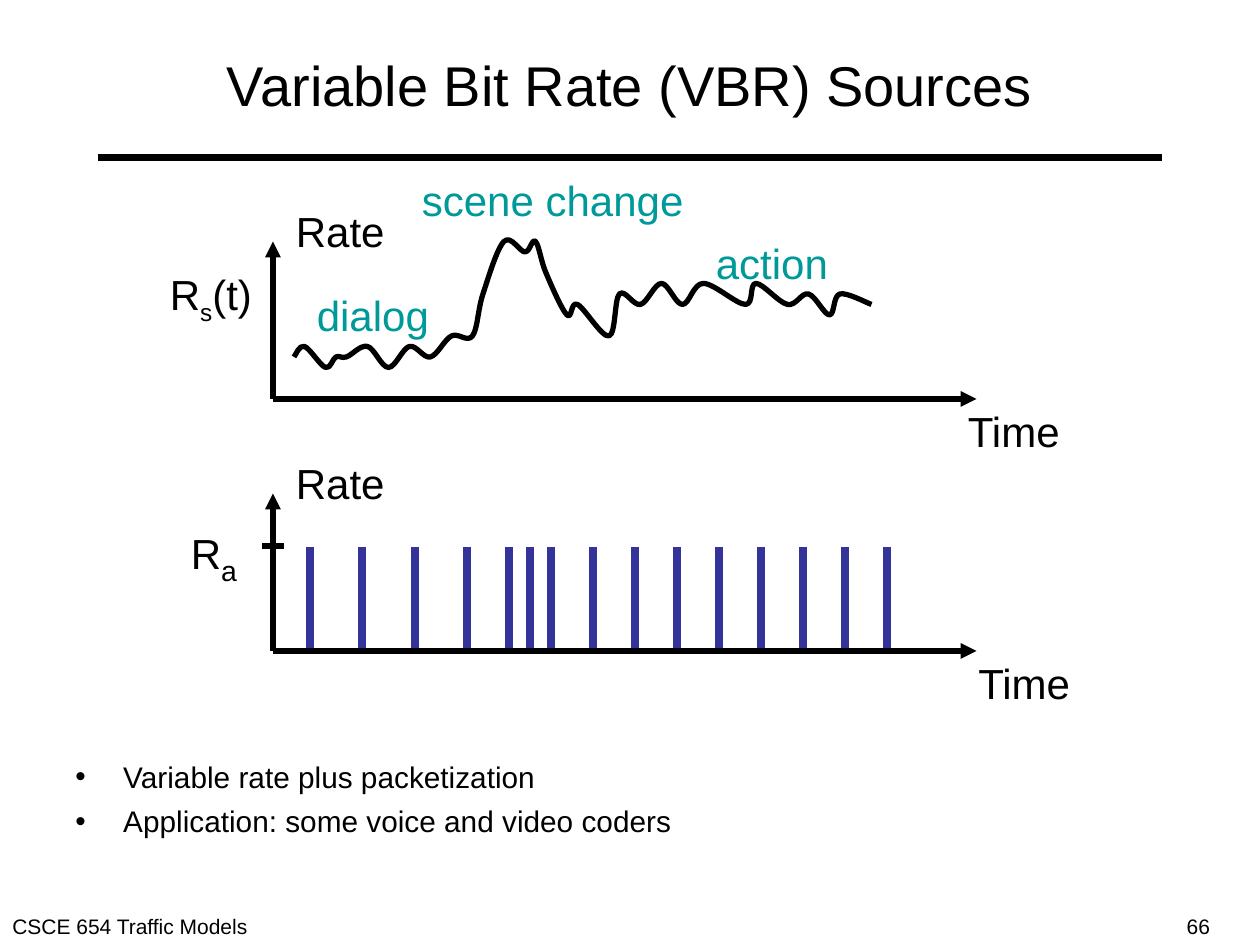
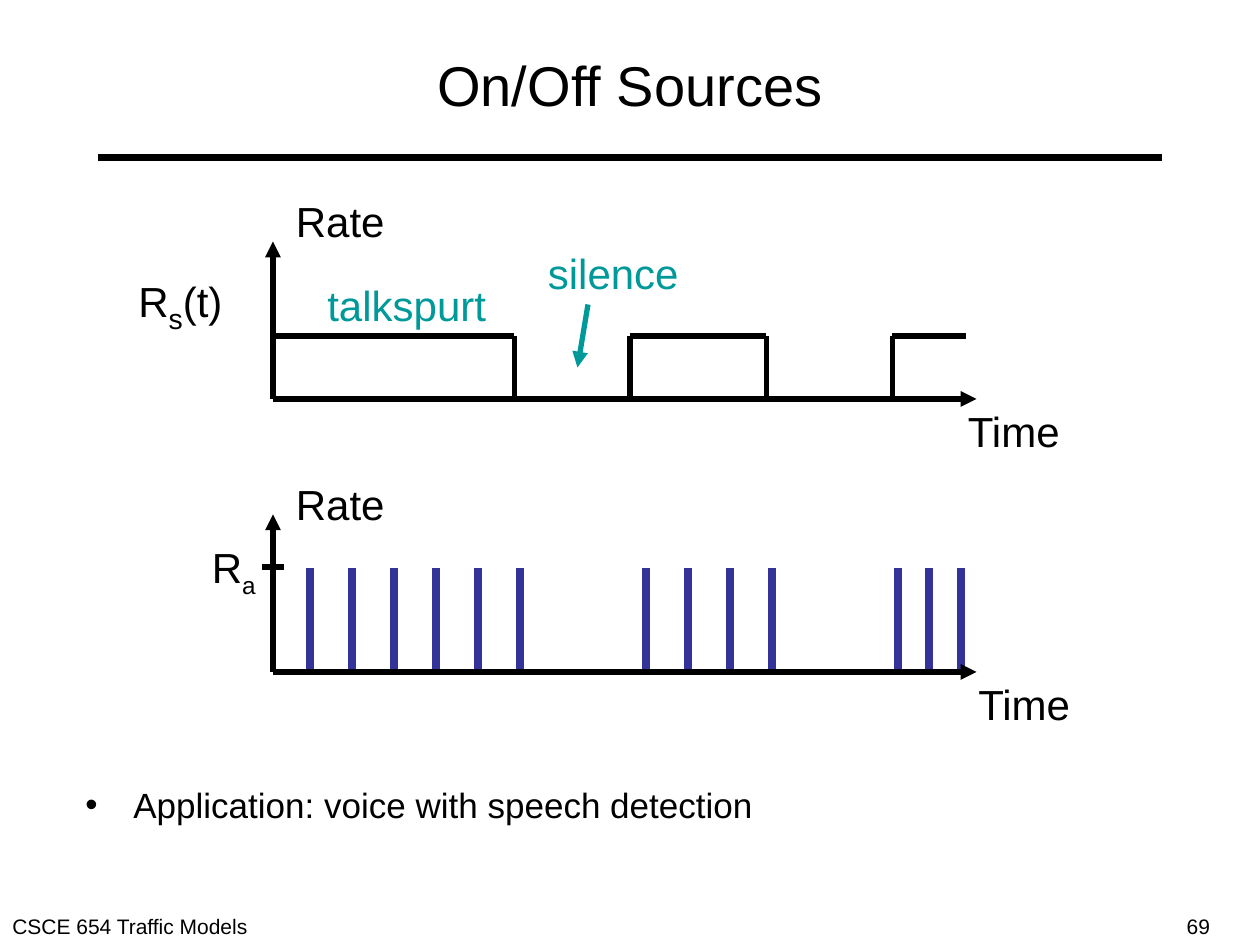
from dataclasses import dataclass

from lxml import etree
from pptx import Presentation
from pptx import util as u
from pptx.dml.color import RGBColor
from pptx.enum import shapes as kinds, text
from pptx.oxml.ns import qn


@dataclass(frozen=True)
class Theme:
    font: str = "Arial"
    ink: str = "000000"
    accent: str = "009999"
    packet: str = "333399"
    paper: str = "FFFFFF"
    title: int = 32
    label: int = 24
    footer: int = 12
    rule: float = 4.5
    stroke: float = 3
    outline: float = 1.5


THEME = Theme()
AXIS_WIDTH, AXIS_HEIGHT = 67, 15
PACKET_HEIGHT, TALK_HEIGHT = 10, 6
ORIGIN_LEFT = 26 / 12
SIGNAL = [(2, 4), (3, 5), (5, 3), (6, 4), (7, 4), (9, 5), (11, 3), (13, 5),
          (15, 4), (17, 6), (19, 6), (20, 10), (22, 15), (24, 14), (25, 15),
          (26, 12), (28, 8), (29, 9), (32, 6), (33, 10), (35, 9), (37, 11),
          (39, 9), (41, 11), (45, 9), (46, 11), (49, 9), (51, 10), (53, 8),
          (54, 10), (57, 9)]


def add_run(paragraph, words, size, color=THEME.ink, baseline=None):
    run = paragraph.add_run()
    run.text = words
    look = {"name": THEME.font, "size": u.Pt(size)}
    for key, value in look.items():
        setattr(run.font, key, value)
    run.font.color.rgb = RGBColor.from_string(color)
    if baseline:
        run._r.get_or_add_rPr().set("baseline", str(baseline))


def add_box(shapes, left, top, width, height, anchor=text.MSO_ANCHOR.TOP):
    frame = shapes.add_textbox(*map(u.Inches, (left, top, width, height))).text_frame
    settings = {"word_wrap": True, "vertical_anchor": anchor,
                "margin_left": u.Inches(0.1), "margin_right": u.Inches(0.1),
                "margin_top": u.Inches(0.05), "margin_bottom": u.Inches(0.05)}
    for key, value in settings.items():
        setattr(frame, key, value)
    return frame


def add_line(shapes, start, end, color=THEME.ink, weight=THEME.stroke, arrow=False):
    line = shapes.add_connector(kinds.MSO_CONNECTOR.STRAIGHT,
                                *map(u.Inches, (*start, *end)))
    line.line.color.rgb = RGBColor.from_string(color)
    line.line.width = u.Pt(weight)
    properties = line._element.spPr
    if arrow:
        etree.SubElement(properties.find(qn("a:ln")), qn("a:tailEnd"), type="triangle")
    etree.SubElement(properties, qn("a:effectLst"))


def smooth(path):
    """Turn the straight segments of a path into curves through the same points."""
    knots = [(int(pt.get("x")), int(pt.get("y"))) for pt in path.iter(qn("a:pt"))]
    padded = [knots[0], *knots, knots[-1]]
    for before, start, end, after, segment in zip(
            padded, padded[1:], padded[2:], padded[3:], path.findall(qn("a:lnTo"))):
        leave = [s + (e - b) / 6 for b, s, e in zip(before, start, end)]
        arrive = [e - (a - s) / 6 for s, e, a in zip(start, end, after)]
        curve = etree.Element(qn("a:cubicBezTo"))
        for x, y in (leave, arrive, end):
            etree.SubElement(curve, qn("a:pt"), x=str(round(x)), y=str(round(y)))
        path.replace(segment, curve)


class RatePlot:
    """Rate against time; x and height count twelfths of an inch from the origin."""

    def __init__(self, slide, baseline):
        self.shapes = slide.shapes.add_group_shape().shapes
        self.baseline = baseline

    def at(self, x, height):
        return ORIGIN_LEFT + x / 12, self.baseline - height / 12

    def line(self, start, end, **look):
        add_line(self.shapes, self.at(*start), self.at(*end), **look)

    def label(self, words, x, height, width=1.1, color=THEME.ink):
        frame = add_box(self.shapes, *self.at(x, height), width, 0.5)
        add_run(frame.paragraphs[0], words, THEME.label, color)

    def rate_symbol(self, x, subscript, suffix="", subscript_size=THEME.label):
        paragraph = add_box(self.shapes, *self.at(x, 13), 1.1, 0.6).paragraphs[0]
        add_run(paragraph, "R", THEME.label)
        add_run(paragraph, subscript, subscript_size, baseline=-25000)
        if suffix:
            add_run(paragraph, suffix, THEME.label)

    def axes(self, rate_height=19, time_x=66):
        self.line((0, 0), (0, AXIS_HEIGHT), arrow=True)
        self.line((0, 0), (AXIS_WIDTH, 0), arrow=True)
        self.label("Rate", 1, rate_height)
        self.label("Time", time_x, 0)

    def packets(self, starts):
        """Draw one bar per packet, then mark their common rate on the axis."""
        for x in starts:
            left, top = self.at(x, PACKET_HEIGHT)
            bar = self.shapes.add_shape(
                kinds.MSO_SHAPE.RECTANGLE,
                *map(u.Inches, (left, top, 1 / 12, PACKET_HEIGHT / 12)))
            bar.shadow.inherit = False
            bar.fill.solid()
            bar.fill.fore_color.rgb = RGBColor.from_string(THEME.packet)
            bar.line.color.rgb = RGBColor.from_string(THEME.paper)
            bar.line.width = u.Pt(THEME.outline)
        self.line((-1, PACKET_HEIGHT), (1, PACKET_HEIGHT))

    def signal(self, knots):
        start, *rest = [tuple(map(u.Inches, self.at(*knot))) for knot in knots]
        builder = self.shapes.build_freeform(*start)
        builder.add_line_segments(rest, close=False)
        curve = builder.convert_to_shape()
        curve.shadow.inherit = False
        curve.fill.background()
        curve.line.color.rgb = RGBColor.from_string(THEME.ink)
        curve.line.width = u.Pt(THEME.stroke)
        smooth(next(curve._element.iter(qn("a:path"))))

    def talkspurts(self, spans, window):
        """Outline each span, leaving out the edges that lie on the window's ends."""
        for start, end in spans:
            self.line((start, TALK_HEIGHT), (end, TALK_HEIGHT))
            for edge in (start, end):
                if edge not in window:
                    self.line((edge, TALK_HEIGHT), (edge, 0))


def add_bullets(slide, left, top, width, height, size, items):
    frame = add_box(slide.shapes, left, top, width, height)
    for index, item in enumerate(items):
        paragraph = frame.add_paragraph() if index else frame.paragraphs[0]
        properties = paragraph._p.get_or_add_pPr()
        properties.set("marL", str(u.Inches(0.38)))
        properties.set("indent", str(u.Inches(-0.38)))
        etree.SubElement(properties, qn("a:buFont"), typeface=THEME.font)
        etree.SubElement(properties, qn("a:buChar"), char="•")
        if index:
            paragraph.space_before = u.Pt(5)
        add_run(paragraph, item, size)


def add_frame_slide(deck, title, number):
    """Add a slide with its title, rule and footer."""
    slide = deck.slides.add_slide(deck.slide_layouts[6])
    add_line(slide.shapes, (0.78, 1.25), (9.22, 1.25), weight=THEME.rule)
    for left, width, words in ((0, 2.2, "CSCE 654 Traffic Models"),
                               (9.32, 0.6, str(number))):
        footer = add_box(slide.shapes, left, 7.2, width, 0.3)
        add_run(footer.paragraphs[0], words, THEME.footer)
    heading = add_box(slide.shapes, 0.5, 0.17, 9, 1, text.MSO_ANCHOR.MIDDLE).paragraphs[0]
    heading.alignment = text.PP_ALIGN.CENTER
    add_run(heading, title, THEME.title)
    return slide


def add_vbr_slide(deck):
    slide = add_frame_slide(deck, "Variable Bit Rate (VBR) Sources", 66)

    packets = RatePlot(slide, 62 / 12)
    packets.packets([*range(3, 19, 5), 22, 24, *range(26, 59, 4)])
    packets.axes()
    packets.rate_symbol(-9, "a", subscript_size=28)

    source = RatePlot(slide, 38 / 12)
    source.axes(time_x=65)
    source.rate_symbol(-11, "s", "(t)")
    source.signal(SIGNAL)
    for words, x, height, width in (("dialog", 3, 11, 1.2),
                                    ("scene change", 13, 22, 2.4),
                                    ("action", 41, 16, 1.2)):
        source.label(words, x, height, width, THEME.accent)

    add_bullets(slide, 0.5, 5.97, 9, 0.73, 17,
                ["Variable rate plus packetization",
                 "Application: some voice and video coders"])


def add_on_off_slide(deck):
    slide = add_frame_slide(deck, "On/Off Sources", 69)

    source = RatePlot(slide, 38 / 12)
    source.rate_symbol(-14, "s", "(t)", subscript_size=28)
    source.talkspurts([(0, 23), (34, 47), (59, 66)], window=(0, 66))
    source.label("talkspurt", 4, 12, 1.6, THEME.accent)
    source.label("silence", 25, 15, 1.4, THEME.accent)
    source.line((30, 9), (29, 3), color=THEME.accent, arrow=True)
    source.axes(rate_height=20, time_x=65)

    packets = RatePlot(slide, 64 / 12)
    packets.packets([*range(3, 24, 4), *range(35, 48, 4), *range(59, 66, 3)])
    packets.axes()
    packets.rate_symbol(-7, "a")

    add_bullets(slide, 0.58, 6.17, 8.83, 0.67, 20,
                ["Application: voice with speech detection"])


def main():
    deck = Presentation()
    deck.slide_width, deck.slide_height = u.Inches(10), u.Inches(7.5)
    add_vbr_slide(deck)
    add_on_off_slide(deck)
    deck.save("out.pptx")


if __name__ == "__main__":
    main()
